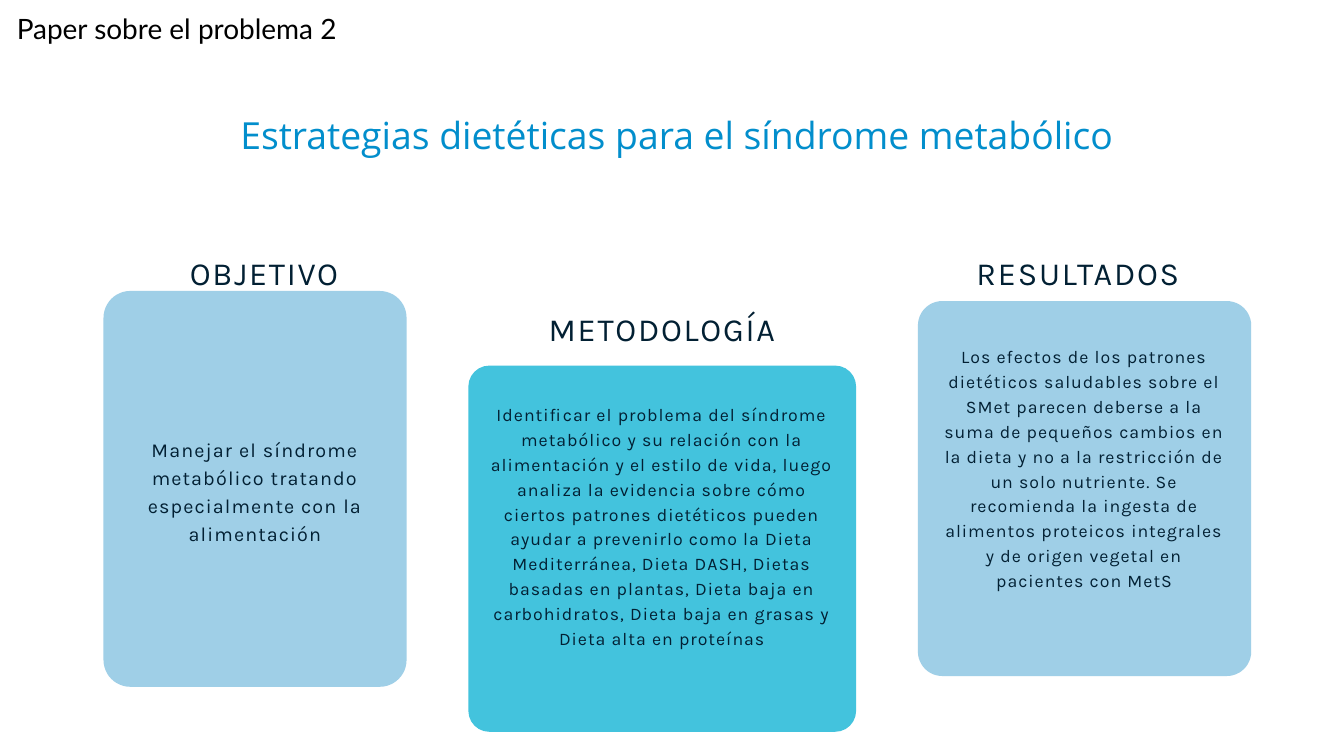
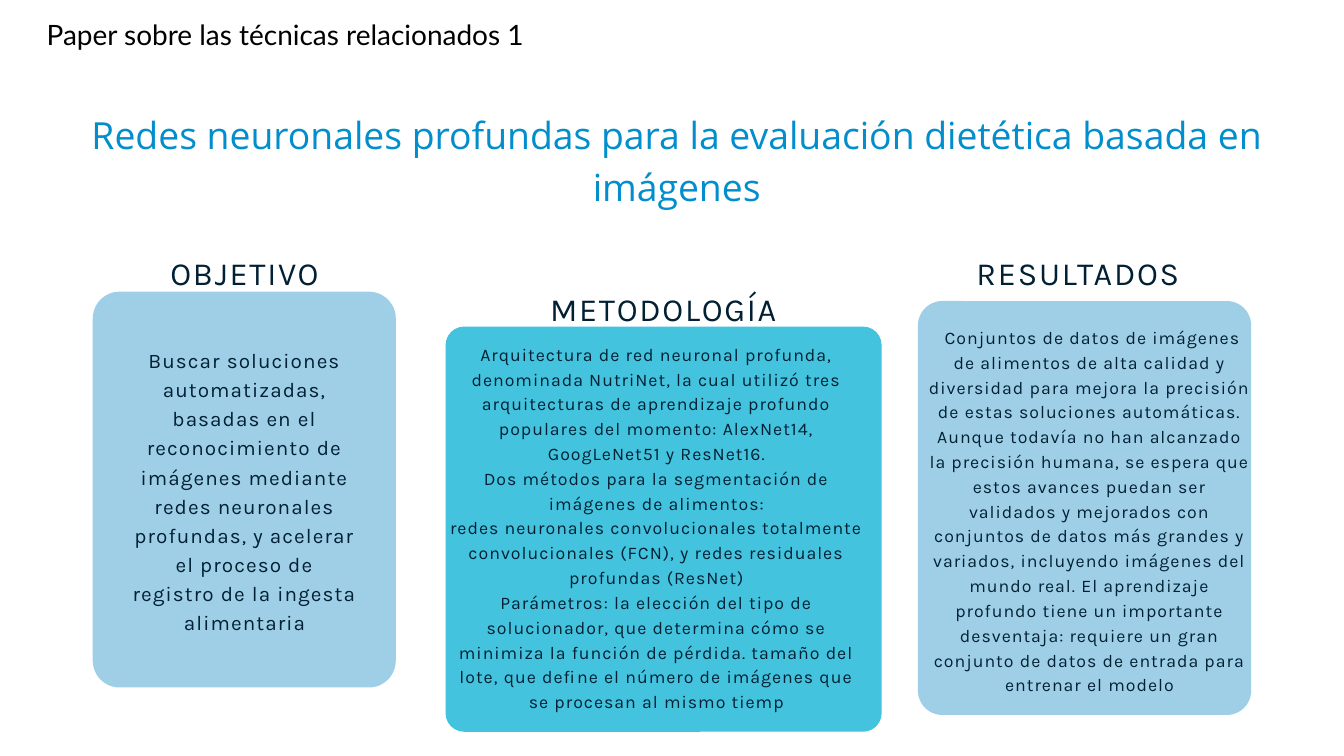
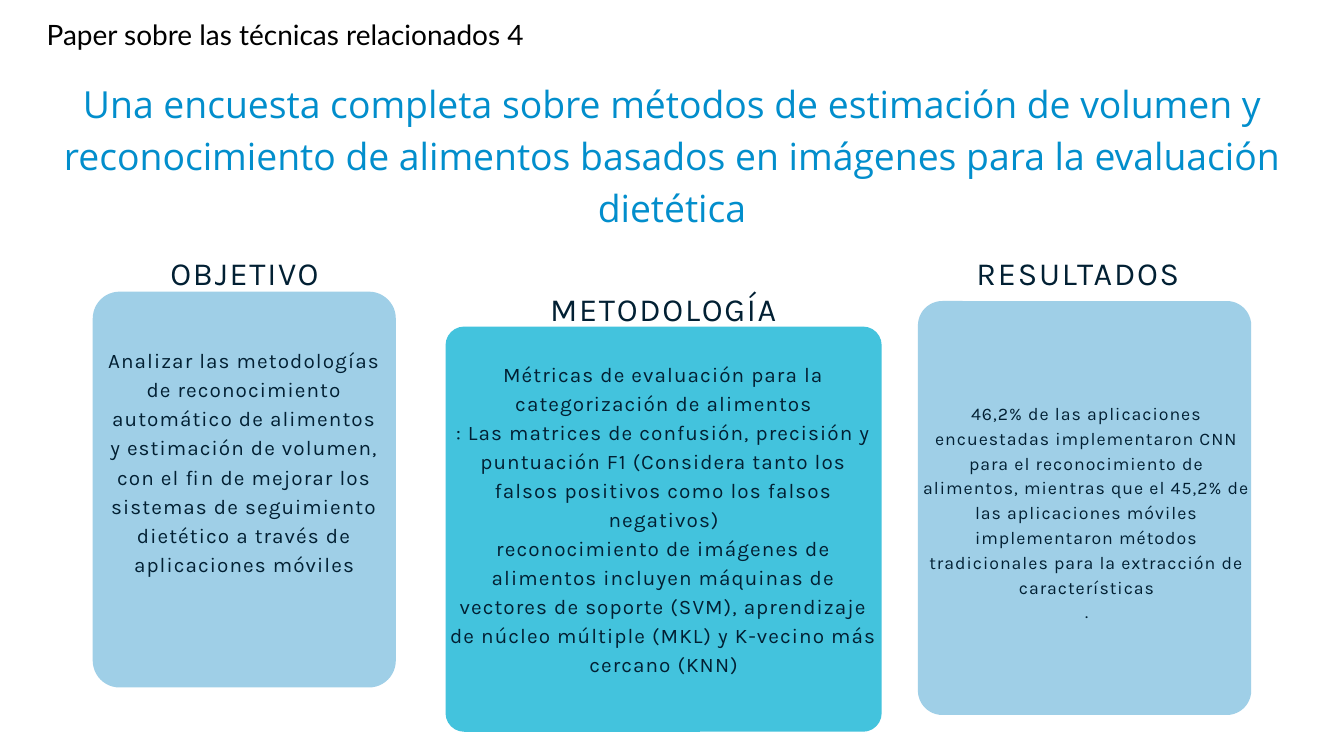
from dataclasses import dataclass

from pptx import Presentation
from pptx import util as u
from pptx.dml.color import RGBColor
from pptx.enum import shapes, text

PX = 9144


@dataclass(frozen=True)
class Theme:
    """Colours, fonts and type sizes of the deck."""
    ink: str = "022033"
    blue: str = "028ECC"
    sky: str = "9FCFE7"
    teal: str = "43C3DD"
    black: str = "000000"
    body: str = "Karla"
    title: str = "Open Sans"
    label: str = "Lato"
    small: float = 19
    mid: float = 21.2
    large: float = 22.2
    tag: float = 30
    head: float = 34.6
    big: float = 40


T = Theme()


@dataclass(frozen=True)
class Card:
    """A card, with its heading and body boxes relative to its corner."""
    box: tuple
    head: tuple
    body: tuple
    size: float
    lines: tuple
    indent: int = 0


def place(box, part):
    """Turn a box relative to another box into slide px."""
    return (box[0] + part[0], box[1] + part[1], *part[2:])


def emu(box):
    """Scale a box from px to EMU."""
    return [n * PX for n in box]


def write(slide, box, lines, size=T.small, font=T.body, color=T.ink,
          lead=1.4, track=0.056, indent=0):
    """Add a centred text box with one paragraph per line."""
    frame = slide.shapes.add_textbox(*emu(box)).text_frame
    frame.word_wrap = True
    frame.vertical_anchor = text.MSO_ANCHOR.TOP
    frame.margin_left = frame.margin_right = 0
    frame.margin_top = frame.margin_bottom = 0
    for i, line in enumerate(lines):
        para = frame.paragraphs[0] if i == 0 else frame.add_paragraph()
        para.alignment = text.PP_ALIGN.CENTER
        para.line_spacing = u.Pt(round(size * lead, 1))
        if indent:
            para._p.get_or_add_pPr().set("indent", str(indent * PX))
        run = para.add_run()
        run.text = line
        run.font.size = u.Pt(size)
        run.font.name = font
        run.font.color.rgb = RGBColor.from_string(color)
        if track:
            run._r.get_or_add_rPr().set("spc", str(round(size * track, 1) * 100).split(".")[0])


def panel(slide, box, fill):
    """Draw a rounded panel whose corners tighten as it widens."""
    shape = slide.shapes.add_shape(shapes.MSO_SHAPE.ROUNDED_RECTANGLE, *emu(box))
    shape.shadow.inherit = False
    shape.fill.solid()
    shape.fill.fore_color.rgb = RGBColor.from_string(fill)
    shape.line.fill.background()
    shape.adjustments[0] = 18000 / box[2] / min(box[2:])


def column(slide, card, name, fill):
    """Draw one card with its heading and body."""
    panel(slide, card.box, fill)
    write(slide, place(card.box, card.head), [name], size=T.head)
    write(slide, place(card.box, card.body), card.lines, size=card.size,
          indent=card.indent)


def paper(deck, tag, tagbox, title, titlebox, cards):
    """Add a slide that sums up one paper in three cards."""
    slide = deck.slides.add_slide(deck.slide_layouts[6])
    write(slide, tagbox, [tag], size=T.tag, font=T.label, color=T.black,
          lead=1.07, track=0)
    write(slide, titlebox, [title], size=T.big, font=T.title, color=T.blue, track=0)
    heads = ("OBJETIVO", "METODOLOGÍA", "RESULTADOS")
    for card, name, fill in zip(cards, heads, (T.sky, T.teal, T.sky)):
        column(slide, card, name, fill)


TAG = (39, 32, 771, 47)
GOAL = ((138, 434, 451, 589), (83, -67, 286, 65))
METHOD = ((663, 486, 649, 603), (101, -65, 446, 65))
RESULT_HEAD = (16, -81, 444, 65)
RESULT = ((1366, 448, 496, 616), RESULT_HEAD)


def main():
    """Build the three slides and save the deck."""
    deck = Presentation()
    deck.slide_width, deck.slide_height = 2000 * PX, 1125 * PX

    paper(deck, "Paper sobre el problema 2", (17, 23, 492, 47),
          "Estrategias dietéticas para el síndrome metabólico", (97, 156, 1820, 74), (
        Card((154, 433, 451, 589), (96, -66, 286, 65), (33, 213, 385, 162), T.mid, (
            "Manejar el síndrome metabólico tratando especialmente con la alimentación",)),
        Card((697, 544, 577, 545), (65, -94, 446, 65), (29, 52, 518, 401), T.small, (
            "Identificar el problema del síndrome metabólico y su relación con la "
            "alimentación y el estilo de vida, luego analiza la evidencia sobre cómo "
            "ciertos patrones dietéticos pueden ayudar a prevenirlo como la Dieta "
            "Mediterránea, Dieta DASH, Dietas basadas en plantas, Dieta baja en "
            "carbohidratos, Dieta baja en grasas y Dieta alta en proteínas",)),
        Card((1366, 448, 496, 558), RESULT_HEAD, (39, 62, 417, 401), T.small, (
            "Los efectos de los patrones dietéticos saludables sobre el SMet parecen "
            "deberse a la suma de pequeños cambios en la dieta y no a la restricción "
            "de un solo nutriente. Se recomienda la ingesta de alimentos proteicos "
            "integrales y de origen vegetal en pacientes con MetS",)),
    ))

    paper(deck, "Paper sobre las técnicas relacionados 1", TAG,
          "Redes neuronales profundas para la evaluación dietética basada en imágenes",
          (97, 156, 1820, 151), (
        Card(*GOAL, (59, 78, 334, 427), T.large, (
            "Buscar soluciones automatizadas, basadas en el reconocimiento de imágenes "
            "mediante redes neuronales profundas, y acelerar el proceso de registro de "
            "la ingesta alimentaria",)),
        Card(*METHOD, (3, 20, 622, 583), T.small, (
            "Arquitectura de red neuronal profunda, denominada NutriNet, la cual utilizó "
            "tres arquitecturas de aprendizaje profundo populares del momento: "
            "AlexNet14, GoogLeNet51 y ResNet16.",
            "Dos métodos para la segmentación de imágenes de alimentos:",
            "redes neuronales convolucionales totalmente convolucionales (FCN), y redes "
            "residuales profundas (ResNet)",
            "Parámetros: la elección del tipo de solucionador, que determina cómo se "
            "minimiza la función de pérdida. tamaño del lote, que define el número de "
            "imágenes que se procesan al mismo tiemp")),
        Card(*RESULT, (16, 33, 479, 583), T.small, (
            "Conjuntos de datos de imágenes de alimentos de alta calidad y diversidad "
            "para mejora la precisión de estas soluciones automáticas. Aunque todavía no "
            "han alcanzado la precisión humana, se espera que estos avances puedan ser "
            "validados y mejorados con conjuntos de datos más grandes y variados, "
            "incluyendo imágenes del mundo real. El aprendizaje profundo tiene un "
            "importante desventaja: requiere un gran conjunto de datos de entrada para "
            "entrenar el modelo",), indent=9),
    ))

    paper(deck, "Paper sobre las técnicas relacionados 4", TAG,
          "Una encuesta completa sobre métodos de estimación de volumen y reconocimiento "
          "de alimentos basados en imágenes para la evaluación dietética",
          (90, 109, 1820, 228), (
        Card(*GOAL, (22, 78, 407, 427), T.large, (
            "Analizar las metodologías de reconocimiento automático de alimentos y "
            "estimación de volumen, con el fin de mejorar los sistemas de seguimiento "
            "dietético a través de aplicaciones móviles",)),
        Card(*METHOD, (0, 46, 649, 512), T.large, (
            "Métricas de evaluación para la categorización de alimentos",
            ": Las matrices de confusión, precisión y puntuación F1 (Considera tanto los "
            "falsos positivos como los falsos negativos)",
            "reconocimiento de imágenes de alimentos incluyen máquinas de vectores de "
            "soporte (SVM), aprendizaje de núcleo múltiple (MKL) y K-vecino más cercano "
            "(KNN)")),
        Card(*RESULT, (6, 146, 490, 364), T.small, (
            "46,2% de las aplicaciones encuestadas implementaron CNN para el "
            "reconocimiento de alimentos, mientras que el 45,2% de las aplicaciones "
            "móviles implementaron métodos tradicionales para la extracción de "
            "características",
            ".")),
    ))

    deck.save("out.pptx")


if __name__ == "__main__":
    main()
